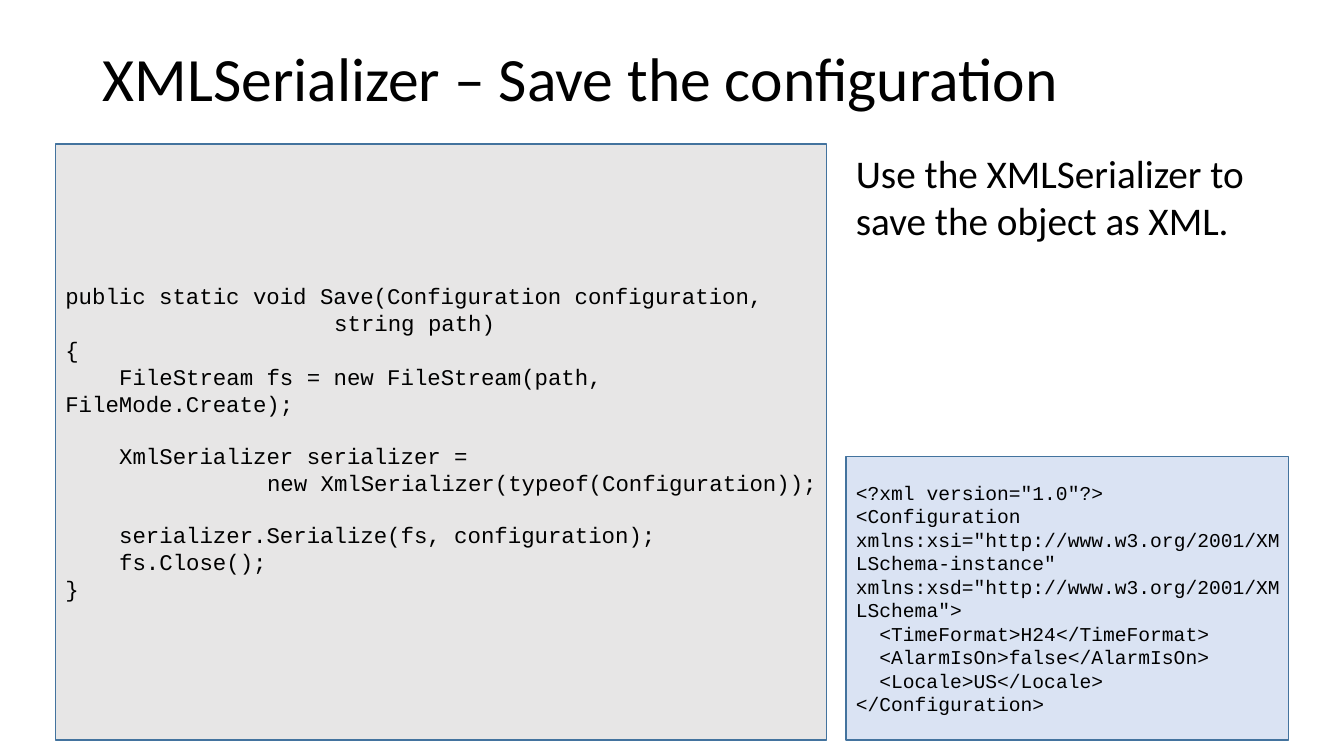
from pptx import Presentation
from pptx.dml.color import RGBColor
from pptx.enum.shapes import MSO_SHAPE as Shape
from pptx.enum.text import MSO_ANCHOR as Anchor, PP_ALIGN as Align
from pptx.util import Emu, Inches, Pt

# Content: code lines are (indent in characters, blank lines before, text)
TITLE = "XMLSerializer – Save the configuration"
NOTE = "Use the XMLSerializer to save the object as XML."
SAVE_CODE = [
    (0, 0, "public static void Save(Configuration configuration,"),
    (20, 0, "string path)"),
    (0, 0, "{"),
    (4, 0, "FileStream fs = new FileStream(path, FileMode.Create);"),
    (4, 1, "XmlSerializer serializer ="),
    (15, 0, "new XmlSerializer(typeof(Configuration));"),
    (4, 1, "serializer.Serialize(fs, configuration);"),
    (4, 0, "fs.Close();"),
    (0, 0, "}"),
]
XML_OUTPUT = [
    (0, 0, '<?xml version="1.0"?>'),
    (0, 0, '<Configuration xmlns:xsi="http://www.w3.org/2001/XMLSchema-instance" '
           'xmlns:xsd="http://www.w3.org/2001/XMLSchema">'),
    (2, 0, "<TimeFormat>H24</TimeFormat>"),
    (2, 0, "<AlarmIsOn>false</AlarmIsOn>"),
    (2, 0, "<Locale>US</Locale>"),
    (0, 0, "</Configuration>"),
]

# Layout in inches: two columns sharing a top and a bottom edge
WIDTH, HEIGHT = 13.33, 7.5
TOP, BOTTOM = 1.43, 7.34
LEFT_COL, LEFT_W = 0.55, 7.65
RIGHT_COL, RIGHT_W = 8.39, 4.39
XML_TOP, NOTE_H = 4.53, 2.94
CHAR_W, LINE_H = 0.6, 1.13  # monospace cell as shares of the font size

prs = Presentation()
prs.slide_width, prs.slide_height = Inches(WIDTH), Inches(HEIGHT)
slide = prs.slides.add_slide(prs.slide_layouts[6])


def color(value):
    return RGBColor.from_string(value)


def add_run(p, text, font, size):
    r = p.add_run()
    r.text = text
    r.font.name, r.font.size = font, Pt(size)
    r.font.color.rgb = color("000000")


def add_text(text, size, box, anchor=Anchor.TOP, spacing=1.0):
    tf = slide.shapes.add_textbox(*map(Inches, box)).text_frame
    tf.word_wrap, tf.vertical_anchor = True, anchor
    p = tf.paragraphs[0]
    p.line_spacing = spacing
    add_run(p, text, "Calibri", size)


def add_code(lines, size, fill, box):
    sp = slide.shapes.add_shape(Shape.RECTANGLE, *map(Inches, box))
    sp.shadow.inherit = False
    sp.fill.solid()
    sp.fill.fore_color.rgb = color(fill)
    sp.line.color.rgb, sp.line.width = color("43739E"), Pt(1)
    tf = sp.text_frame
    tf.word_wrap, tf.vertical_anchor = True, Anchor.MIDDLE
    tf.margin_right = Inches(0.05)
    for i, (indent, blanks, text) in enumerate(lines):
        p = tf.add_paragraph() if i else tf.paragraphs[0]
        p.alignment = Align.LEFT
        p.space_before = Pt(blanks * size * LINE_H)
        # First-line indent only, so wrapped text returns to the margin
        pPr = p._p.get_or_add_pPr()
        pPr.set("marL", "0")
        pPr.set("indent", str(Emu(Pt(indent * size * CHAR_W))))
        add_run(p, text, "Courier New", size)


# Title
add_text(TITLE, 44, (0.92, 0.4, 11.5, 0.81), Anchor.MIDDLE, 0.9)

# Code panel and the XML it produces
add_code(SAVE_CODE, 16, "E7E6E6", (LEFT_COL, TOP, LEFT_W, BOTTOM - TOP))
add_code(XML_OUTPUT, 14, "DAE3F3", (RIGHT_COL, XML_TOP, RIGHT_W, BOTTOM - XML_TOP))

# Explanation
add_text(NOTE, 28, (RIGHT_COL, TOP, RIGHT_W, NOTE_H))

prs.save("out.pptx")
